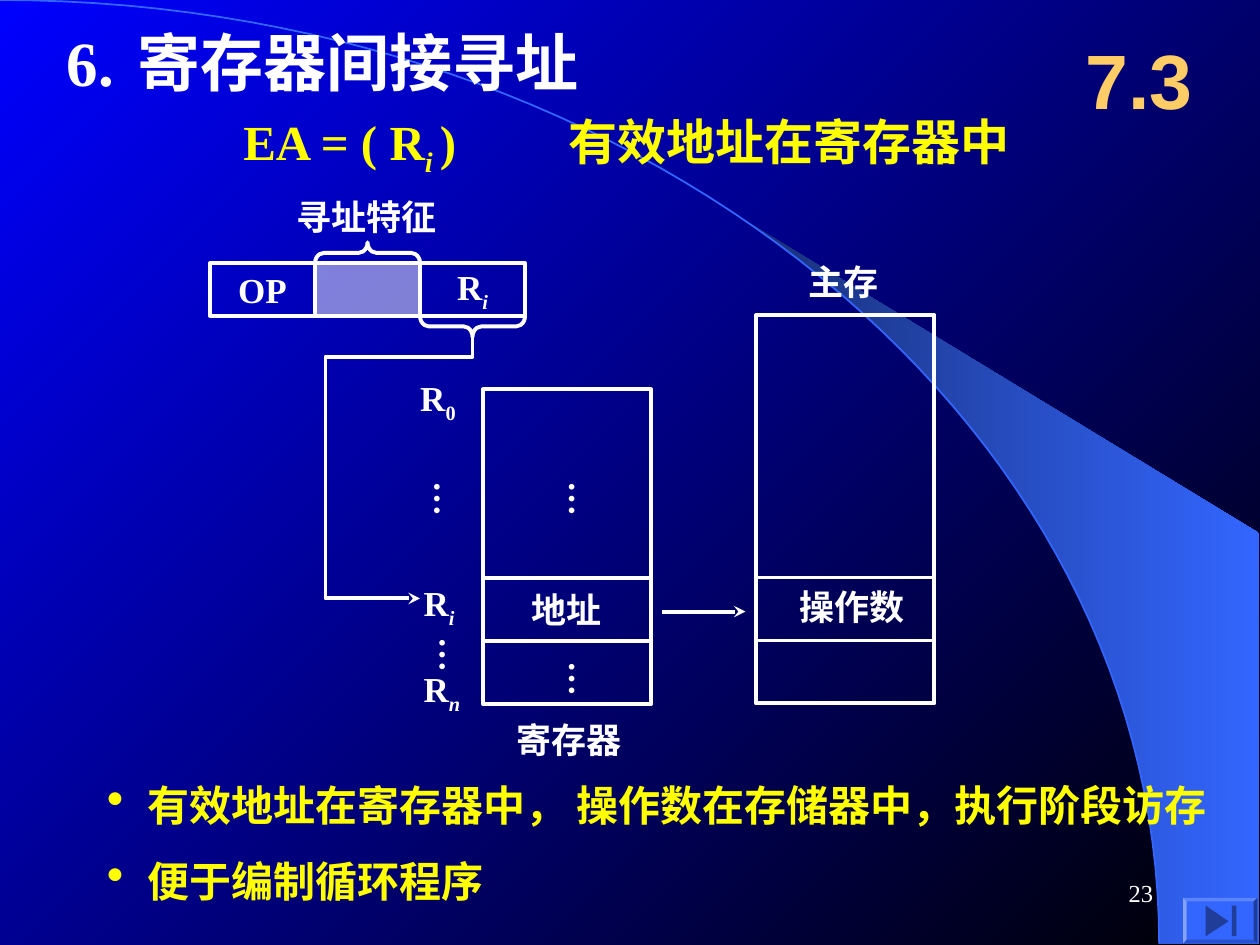
from lxml import etree
from pptx import Presentation
from pptx.dml.color import RGBColor
from pptx.enum.shapes import MSO_CONNECTOR, MSO_SHAPE
from pptx.enum.text import MSO_ANCHOR, MSO_AUTO_SIZE, PP_ALIGN
from pptx.oxml.ns import qn
from pptx.util import Pt

LEFT, CENTER, RIGHT = PP_ALIGN.LEFT, PP_ALIGN.CENTER, PP_ALIGN.RIGHT
TOP, MIDDLE = MSO_ANCHOR.TOP, MSO_ANCHOR.MIDDLE
RECT, BRACE, BEVEL = MSO_SHAPE.RECTANGLE, MSO_SHAPE.LEFT_BRACE, MSO_SHAPE.BEVEL
STRAIGHT = MSO_CONNECTOR.STRAIGHT

WHITE = RGBColor(0xFF, 0xFF, 0xFF)
YELLOW = RGBColor(0xFF, 0xFF, 0x00)
ORANGE = RGBColor(0xFF, 0xCC, 0x66)
BLUE = RGBColor(0x00, 0x00, 0xFF)
BLACK = RGBColor(0x00, 0x00, 0x00)
NAVY = RGBColor(0x18, 0x2F, 0x76)
SKY = RGBColor(0x33, 0x66, 0xFF)
ICON = RGBColor(0x1F, 0x3D, 0x99)


def write(tf, text, size=20, color=WHITE, font="Times New Roman", bold=True,
          align=LEFT, anchor=TOP, wrap=True, bullet=False):
    """Text is a string, or a list of (string, run attributes) pairs."""
    tf.word_wrap = wrap
    tf.vertical_anchor = anchor
    p = tf.paragraphs[0]
    p.alignment = align
    if bullet:
        pPr = p._p.get_or_add_pPr()
        pPr.set("marL", str(Pt(23)))
        pPr.set("indent", str(-Pt(23)))
        etree.SubElement(pPr, qn("a:buSzPct"), val="117000")
        etree.SubElement(pPr, qn("a:buChar"), char="•")
    for part, attrs in [(text, {})] if isinstance(text, str) else text:
        r = p.add_run()
        r.text = part
        r.font.size, r.font.bold, r.font.name = Pt(size), bold, font
        r.font.color.rgb = color
        for key, value in attrs.items():
            r._r.get_or_add_rPr().set(key, value)


def register(index, italic="1"):
    return [("R", {}), (index, {"i": italic, "baseline": "-25000"})]


def label(s, x, y, w, h, text, vertical=False, **fmt):
    tf = s.shapes.add_textbox(Pt(x), Pt(y), Pt(w), Pt(h)).text_frame
    write(tf, text, **fmt)
    if vertical:
        tf.margin_left = tf.margin_right = Pt(3.6)
        tf.margin_top = tf.margin_bottom = Pt(3.6)
        tf._txBody.bodyPr.set("vert", "eaVert")


def outline(sp, color=WHITE, width=2.25):
    sp.line.color.rgb = color
    sp.line.width = Pt(width)


def paint(sp, color):
    sp.fill.solid()
    sp.fill.fore_color.rgb = color
    sp.line.fill.background()


def arrowhead(sp):
    etree.SubElement(sp.line._get_or_add_ln(), qn("a:tailEnd"), type="stealth")


def box(s, x, y, w, h, text=None, shape=RECT):
    sp = s.shapes.add_shape(shape, Pt(x), Pt(y), Pt(w), Pt(h))
    sp.shadow.inherit = False
    sp.fill.background()
    outline(sp)
    if text:
        write(sp.text_frame, text, align=CENTER, anchor=MIDDLE, wrap=False)
    return sp


def brace(s, x, y, rotation):
    sp = box(s, x, y, 12, 60, shape=BRACE)
    sp.adjustments[0] = 0.42
    sp.rotation = rotation


def line(s, x1, y1, x2, y2):
    c = s.shapes.add_connector(STRAIGHT, Pt(x1), Pt(y1), Pt(x2), Pt(y2))
    outline(c)
    etree.SubElement(c._element.spPr, qn("a:effectLst"))
    return c


def path(s, points, close=False):
    (x, y), *rest = [(Pt(px), Pt(py)) for px, py in points]
    fb = s.shapes.build_freeform(x, y)
    fb.add_line_segments(rest, close=close)
    sp = fb.convert_to_shape()
    sp.shadow.inherit = False
    sp.fill.background()
    return sp


def gradient(fill, start, end, angle):
    fill.gradient()
    fill.gradient_angle = angle
    for stop, color in zip(fill.gradient_stops, (start, end)):
        stop.color.rgb = color


def arc(start, steps=60):
    """Points of the large background curve, from parameter start to 1."""
    points = []
    for i in range(steps + 1):
        t = start + (1 - start) * i / steps
        a, b, c = 3 * (1 - t) ** 2 * t, 3 * (1 - t) * t ** 2, t ** 3
        points.append((365.76 * a + 662.4 * (b + c), 241.2 * b + 539.28 * c))
    return points


def background(s):
    gradient(s.background.fill, BLUE, BLACK, 315)
    band = path(s, arc(0.44) + [(719.3, 539.3), (719.3, 304.6)], close=True)
    gradient(band.fill, NAVY, SKY, 0)
    band.line.fill.background()
    outline(path(s, arc(0)), SKY, 1)


def headings(s):
    title = s.shapes.title
    s.shapes._spTree.append(title._element)  # in front of the background
    title.left, title.top, title.width, title.height = Pt(31), Pt(10), Pt(360), Pt(50.5)
    write(title.text_frame, [("6.", {}), (" ", {"spc": "450"}), ("寄存器间接寻址", {})], size=36)
    title.text_frame.auto_size = MSO_AUTO_SIZE.NONE
    label(s, 132, 60, 160, 45,
          [("EA = ( R", {}), ("i ", {"i": "1", "baseline": "-25000"}), (")", {})],
          size=28, color=YELLOW)
    label(s, 318, 60, 290, 41, "有效地址在寄存器中", size=28, color=YELLOW)
    label(s, 606, 12, 90, 66, "7.3", size=44, color=ORANGE,
          font="Arial", align=CENTER, anchor=MIDDLE)


def instruction(s):
    fields = [box(s, 120 + 60 * i, 150.5, 60, 30, text)
              for i, text in enumerate(["OP", None, register("i")])]
    mode = fields[1].fill
    mode.solid()
    mode.fore_color.rgb = WHITE
    rgb = fields[1]._element.spPr.find(qn("a:solidFill"))[0]
    etree.SubElement(rgb, qn("a:alpha"), val="50000")
    brace(s, 204, 114.5, 90)
    label(s, 162.5, 108, 110, 32, "寻址特征")
    brace(s, 264, 156.5, 270)
    # Path from the register field to the register file
    route = path(s, [(270, 192.5), (270, 204), (186, 204), (186, 342), (240, 342)])
    outline(route)
    arrowhead(route)


def registers(s):
    for y, h, text in [(222.5, 108, None), (330.5, 36, "地址"), (366.5, 36, None)]:
        box(s, 276, y, 96, h, text)
    for x, y in [(311, 268), (311, 371), (234, 268), (237, 357)]:
        label(s, x, y, 38, 27.5, "…", vertical=True)
    label(s, 233, 211.5, 48, 34.5, register("0", italic="0"))
    label(s, 235, 329, 48, 34.5, register("i"))
    label(s, 235, 378, 48, 34.5, register("n"))
    label(s, 288, 407, 102, 32, "寄存器")


def memory(s):
    arrowhead(line(s, 378, 349.5, 426, 349.5))
    box(s, 432, 180, 102, 222)
    for y in (330, 366):
        line(s, 432, y, 534, y)
    label(s, 450, 331, 90, 32, "操作数")
    label(s, 455, 145.5, 70, 32, "主存")


def footer(s):
    notes = ["有效地址在寄存器中， 操作数在存储器中，执行阶段访存", "便于编制循环程序"]
    for i, text in enumerate(notes):
        label(s, 54, 442 + 43.5 * i, 666, 41, text, size=24, color=YELLOW, bullet=True)
    label(s, 516, 492, 150, 36, "23", size=14, bold=False, align=RIGHT, anchor=MIDDLE)
    # Button that jumps to the end
    button = box(s, 676, 513, 42.5, 26, shape=BEVEL)
    button.adjustments[0] = 0.08
    paint(button, SKY)
    paint(path(s, [(702, 526.5), (689, 535), (689, 517.5)], close=True), ICON)
    paint(box(s, 704, 517.5, 2.5, 17.5), ICON)


def main():
    prs = Presentation()
    prs.slide_width, prs.slide_height = Pt(720), Pt(540)
    s = prs.slides.add_slide(prs.slide_layouts[5])
    background(s)
    headings(s)
    instruction(s)
    registers(s)
    memory(s)
    footer(s)
    prs.save("out.pptx")


if __name__ == "__main__":
    main()
